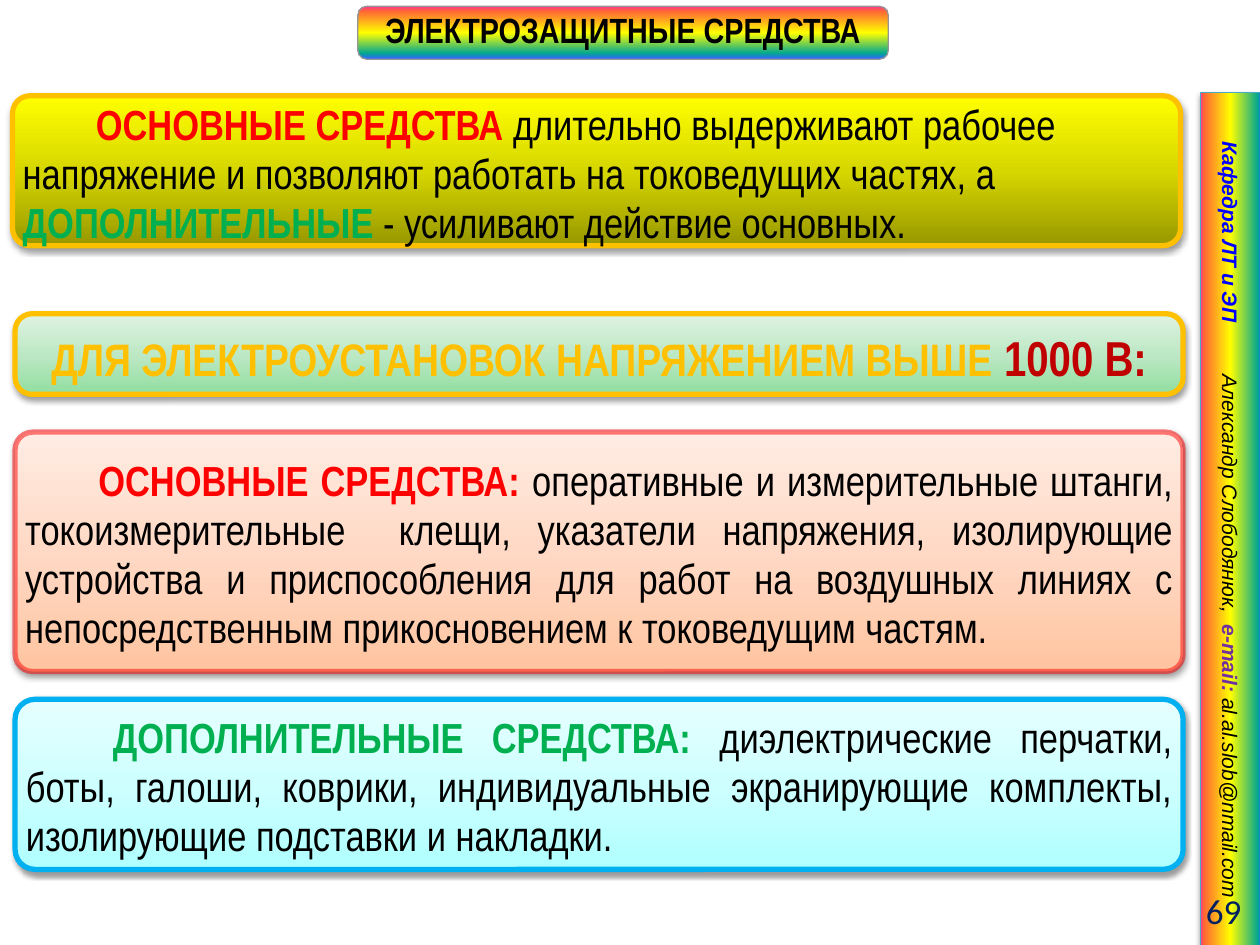
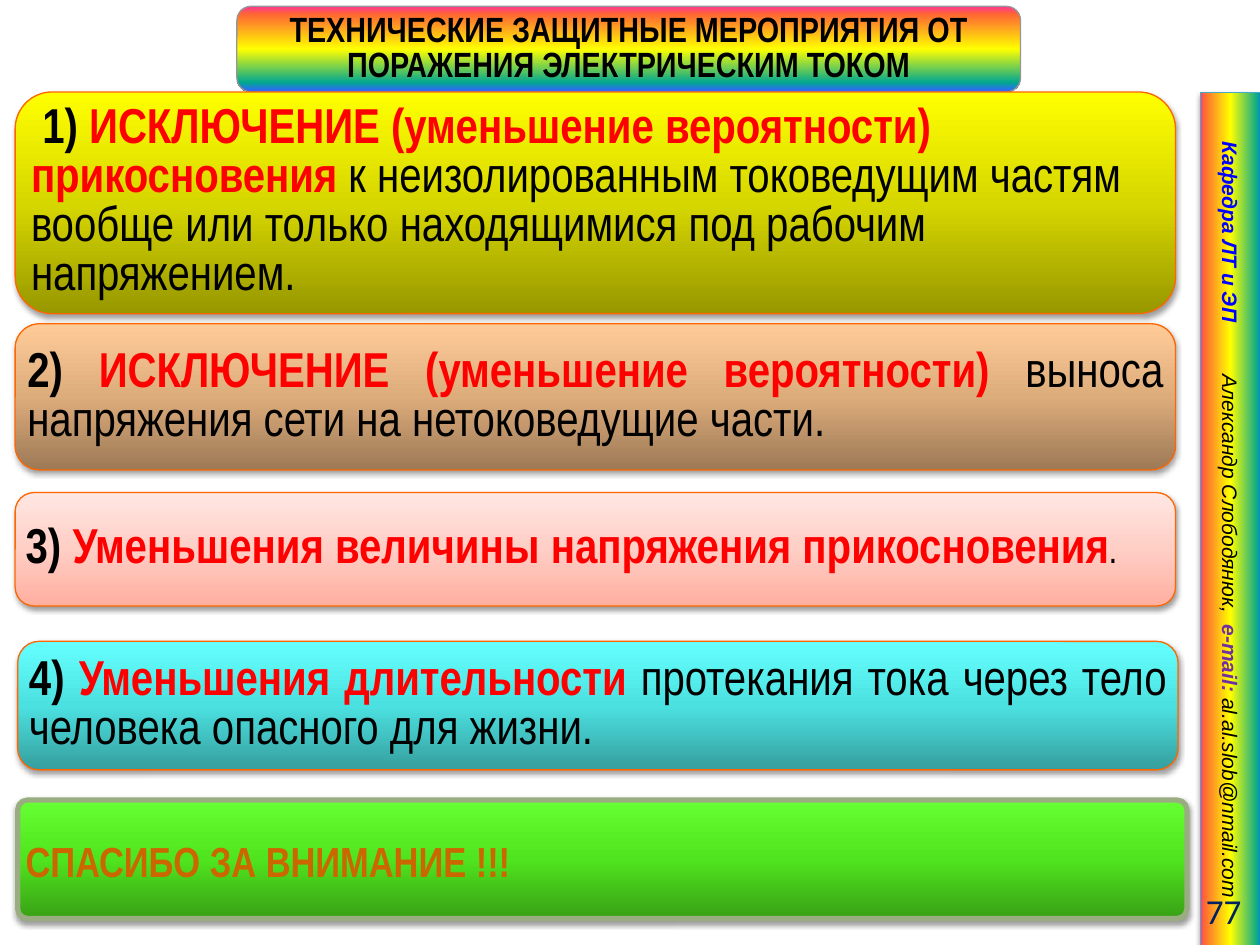
from lxml.etree import SubElement
from pptx import Presentation
from pptx.dml.color import RGBColor
from pptx.enum.shapes import MSO_SHAPE as Shape
from pptx.enum.text import MSO_ANCHOR as Anchor, PP_ALIGN as Align
from pptx.oxml.ns import qn
from pptx.util import Inches, Pt

COLORS = {
    "black": "000000", "red": "FF0000", "green": "00B050", "amber": "FFC000",
    "dark red": "C00000", "blue": "0000FF", "purple": "7030A0", "navy": "002060",
    "brown": "CC6600", "sky": "00B0F0", "orange": "FF6600", "gray": "969696",
    "sage": "99AD80", "teal": "46AAC5",
}
RAINBOW = ["FF3399", "FF6633", "FFFF00", "01A78F", "3366FF"]
GRADIENTS = {
    "band": list(zip([0, 6, 50, 96, 100], RAINBOW)),
    "title": list(zip([0, 9, 50, 89, 99], RAINBOW)),
}
for fill_name, shades in {
    "yellow": ["979700", "D7D700", "FFFF00"],
    "mint": ["91DEA0", "BDE8C5", "DFF3E3"],
    "peach": ["FFC4A0", "FFD9C5", "FFECE3"],
    "ice": ["AFFFFF", "CEFFFF", "E7FFFF"],
    "tan": ["9C7956", "DDAC7B", "FFCC99"],
    "pink": ["FFAFA0", "FFCEC5", "FFE7E3"],
    "aqua": ["369E9E", "4CE1E1", "66FFFF"],
    "lime": ["38A015", "50E41E", "66FF33"],
}.items():
    GRADIENTS[fill_name] = list(zip([0, 50, 100], shades))

HAIR, MEDIUM, THICK = (0.07, 55), (0.75, 100), (1, 100)  # text outline: points, opacity


def plain(text, size, color="black"):
    return dict(text=text, size=size, color=color)


def strong(text, size, color="black", outline=None):
    return dict(text=text, size=size, color=color, bold=True, outline=outline)


BAND_TEXT = [
    dict(text="Кафедра ЛТ и ЭП", color="blue", bold=True),
    dict(text="\tАлександр Слободянюк,  ", color="black"),
    dict(text="e-mail: ", color="purple", bold=True),
    dict(text="al.al.slob@nmail.com", color="black"),
]
MEANS = dict(left=0.12, width=9.27, border=("amber", 3), bottom=0, align=Align.JUSTIFY)
MEASURE = dict(left=0.12, width=9.21, border=("orange", 0.75), align=Align.JUSTIFY)

SLIDES = [
    dict(
        number="69", title="ЭЛЕКТРОЗАЩИТНЫЕ СРЕДСТВА", title_place=(2.84, 0.05, 4.21, 0.42),
        panels=[
            MEANS | dict(
                left=0.1, top=0.76, height=1.19, fill="yellow", corner=0.117,
                align=Align.LEFT, indent=0.58,
                runs=[
                    strong("ОСНОВНЫЕ СРЕДСТВА ", 24, "red", HAIR),
                    plain("длительно выдерживают рабочее напряжение и позволяют "
                          "работать на токоведущих частях, а ", 24),
                    strong("ДОПОЛНИТЕЛЬНЫЕ ", 24, "green", THICK),
                    plain("- усиливают действие основных.", 24),
                ]),
            MEANS | dict(
                top=2.49, height=0.64, fill="mint", corner=0.211,
                align=Align.CENTER, leading=None,
                runs=[
                    strong("ДЛЯ ЭЛЕКТРОУСТАНОВОК НАПРЯЖЕНИЕМ ВЫШЕ ", 26, "amber", (0.07, 100)),
                    strong("1000 В:", 28, "dark red", HAIR),
                ]),
            MEANS | dict(
                top=3.43, height=1.9, fill="peach", corner=0.073,
                border=("red", 3, 50), indent=0.58,
                runs=[
                    strong("ОСНОВНЫЕ СРЕДСТВА: ", 24, "red", HAIR),
                    plain("оперативные и измерительные штанги, токоизмерительные  клещи, "
                          "указатели напряжения, изолирующие устройства и приспособления "
                          "для работ на воздушных линиях с непосредственным прикосновением "
                          "к токоведущим частям.", 24),
                ]),
            MEANS | dict(
                top=5.55, height=1.35, fill="ice", corner=0.117,
                border=("sky", 3), indent=0.69,
                runs=[
                    strong("ДОПОЛНИТЕЛЬНЫЕ СРЕДСТВА: ", 24, "green", THICK),
                    plain("диэлектрические перчатки, боты, галоши, коврики, индивидуальные "
                          "экранирующие комплекты, изолирующие подставки и накладки.", 24),
                ]),
        ]),
    dict(
        number="77",
        title="ТЕХНИЧЕСКИЕ ЗАЩИТНЫЕ МЕРОПРИЯТИЯ ОТ ПОРАЖЕНИЯ ЭЛЕКТРИЧЕСКИМ ТОКОМ",
        title_place=(1.88, 0.05, 6.22, 0.68),
        panels=[
            MEASURE | dict(
                top=0.73, height=1.76, fill="yellow", align=Align.LEFT, indent=0.09,
                runs=[
                    strong("1) ", 28),
                    strong("ИСКЛЮЧЕНИЕ (уменьшение вероятности) прикосновения ",
                           28, "red", MEDIUM),
                    plain("к неизолированным токоведущим частям вообще или только "
                          "находящимися под рабочим напряжением.", 28),
                ]),
            MEASURE | dict(
                top=2.57, height=1.16, fill="tan",
                runs=[
                    strong("2) ", 28),
                    strong("ИСКЛЮЧЕНИЕ (уменьшение вероятности)", 28, "red", MEDIUM),
                    plain(" выноса напряжения сети на нетоковедущие части.", 28),
                ]),
            MEASURE | dict(
                top=3.91, height=0.9, fill="pink",
                runs=[
                    strong("3) ", 28),
                    strong("Уменьшения величины напряжения прикосновения",
                           28, "red", MEDIUM),
                    plain(".", 22),
                ]),
            MEASURE | dict(
                left=0.14, top=5.09, height=1.02, fill="aqua",
                runs=[
                    strong("4) ", 28),
                    strong("Уменьшения длительности ", 28, "red", MEDIUM),
                    plain("протекания тока через тело человека опасного для жизни.", 28),
                ]),
            MEASURE | dict(
                left=0.14, top=6.35, width=9.28, height=0.94, fill="lime", corner=0.083,
                border=("sage", 3), align=Align.LEFT, leading=30,
                runs=[strong("СПАСИБО ЗА ВНИМАНИЕ !!!", 24, "brown", THICK)]),
        ]),
]


def add_color(parent, value, opacity=100):
    color = SubElement(parent, qn("a:srgbClr"), val=value)
    if opacity < 100:
        SubElement(color, qn("a:alpha"), val=str(opacity * 1000))


def set_gradient(shape, stops, angle):
    shape.fill.gradient()
    shape.fill.gradient_angle = angle
    stop_list = shape._element.spPr.find(qn("a:gradFill")).find(qn("a:gsLst"))
    for stop in list(stop_list):
        stop_list.remove(stop)
    for position, value in stops:
        add_color(SubElement(stop_list, qn("a:gs"), pos=str(position * 1000)), value)


def set_border(shape, color, width, opacity=100):
    shape.line.color.rgb = RGBColor.from_string(COLORS[color])
    shape.line.width = Pt(width)
    if opacity < 100:
        value = shape.line._ln.find(qn("a:solidFill"))[0]
        SubElement(value, qn("a:alpha"), val=str(opacity * 1000))


def add_shadow(shape):
    effects = shape._element.spPr.find(qn("a:effectLst"))
    shadow = SubElement(effects, qn("a:outerShdw"), blurRad=str(Pt(3.1)),
                        dist=str(Pt(1.6)), dir="5400000", rotWithShape="0")
    add_color(shadow, COLORS["black"], 38)


def add_filled(page, kind, place, fill, angle, border, shadow=True):
    shape = page.shapes.add_shape(kind, *map(Inches, place))
    shape.shadow.inherit = False
    set_gradient(shape, GRADIENTS[fill], angle)
    set_border(shape, *border)
    if shadow:
        add_shadow(shape)
    return shape


def set_margins(frame, left, top, right, bottom):
    frame.margin_left, frame.margin_top = Inches(left), Inches(top)
    frame.margin_right, frame.margin_bottom = Inches(right), Inches(bottom)


def write(shape, runs, font="Arial Narrow", align=Align.CENTER, leading=None, indent=0):
    frame = shape.text_frame
    frame.word_wrap = True
    frame.vertical_anchor = Anchor.MIDDLE
    para = frame.paragraphs[0]
    para.alignment = align
    if leading:
        para.line_spacing = Pt(leading)
    if indent:
        para._p.get_or_add_pPr().set("indent", str(Inches(indent)))
    for part in runs:
        span = para.add_run()
        span.text = part["text"]
        span.font.name = font
        span.font.size = Pt(part.get("size", 12))
        span.font.bold = part.get("bold", False)
        span.font.italic = part.get("italic", False)
        span.font.color.rgb = RGBColor.from_string(COLORS[part["color"]])
        if part.get("outline"):
            width, opacity = part["outline"]
            props = span._r.get_or_add_rPr()
            line = SubElement(props, qn("a:ln"), w=str(Pt(width)))
            add_color(SubElement(line, qn("a:solidFill")), COLORS["black"], opacity)
            props.insert(0, line)
    return para


def add_side_band(page, number):
    band = add_filled(page, Shape.RECTANGLE, (6.38, 3.88, 6.77, 0.48), "band", 90,
                      ("teal", 0.75))
    band.rotation = 90
    set_margins(band.text_frame, 0.39, 0.05, 0, 0.05)
    tabs = SubElement(band.text_frame.paragraphs[0]._p.get_or_add_pPr(), qn("a:tabLst"))
    SubElement(tabs, qn("a:tab"), pos=str(Inches(1.85)), algn="l")
    write(band, [part | dict(italic=True) for part in BAND_TEXT], "Arial", Align.LEFT)
    box = page.shapes.add_textbox(*map(Inches, (8.86, 7.03, 1.09, 0.4)))
    write(box, [plain(number, 20, "navy")], "Calibri", Align.RIGHT)


def add_title(page, text, place):
    title = add_filled(page, Shape.ROUNDED_RECTANGLE, place, "title", 270,
                       ("gray", 0.75), shadow=False)
    set_margins(title.text_frame, 0.04, 0.04, 0.04, 0.04)
    write(title, [strong(text, 20)], leading=20)


def add_panel(page, panel):
    place = [panel[side] for side in ("left", "top", "width", "height")]
    shape = add_filled(page, Shape.ROUNDED_RECTANGLE, place, panel["fill"], 90,
                       panel["border"])
    shape.adjustments[0] = panel.get("corner", 0.167)
    set_margins(shape.text_frame, 0.04, 0.04, 0.04, panel.get("bottom", 0.04))
    write(shape, panel["runs"], align=panel["align"],
          leading=panel.get("leading", 28), indent=panel.get("indent", 0))


def main():
    deck = Presentation()
    deck.slide_width, deck.slide_height = Inches(10), Inches(7.5)
    for content in SLIDES:
        page = deck.slides.add_slide(deck.slide_layouts[6])
        add_side_band(page, content["number"])
        add_title(page, content["title"], content["title_place"])
        for panel in content["panels"]:
            add_panel(page, panel)
    deck.save("out.pptx")


if __name__ == "__main__":
    main()
